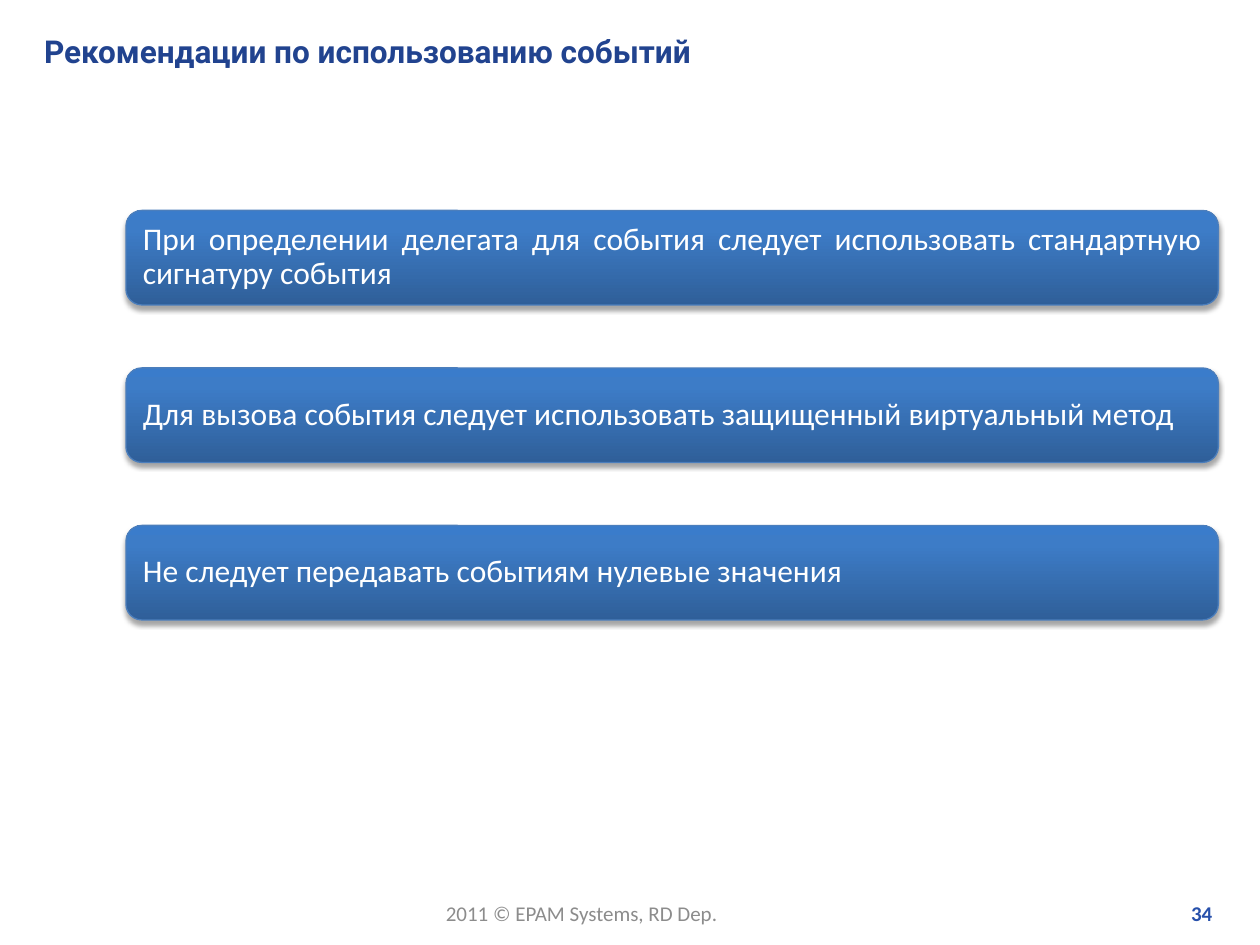
from dataclasses import dataclass

from lxml import etree
from pptx import Presentation
from pptx.dml.color import RGBColor
from pptx.enum import shapes, text
from pptx.oxml import ns
from pptx.util import Inches, Pt


@dataclass(frozen=True)
class Theme:
    """Colours, fonts and type sizes of the slide."""
    heading_font: str = "Roboto"
    body_font: str = "Calibri"
    heading: str = "21438F"
    body: str = "FFFFFF"
    copyright: str = "8C8C8C"
    page: str = "2750AB"
    outline: str = "4B7EBC"
    shadow: str = "000000"
    gradient: tuple = ((0, "2F5F99"), (80, "3D7CC7"), (100, "3A7CCB"))
    main_size: int = 18
    footer_size: int = 12


THEME = Theme()
RECOMMENDATIONS = (
    "При определении делегата для события следует использовать стандартную сигнатуру события",
    "Для вызова события следует использовать защищенный виртуальный метод",
    "Не следует передавать событиям нулевые значения",
)


def add_element(parent, tag, **attributes):
    """Append a DrawingML child and return it."""
    return etree.SubElement(parent, ns.qn(tag), attributes)


def format_runs(paragraph, font, size, color, bold=False):
    """Apply one type style to every run of a paragraph."""
    for run in paragraph.runs:
        run.font.name = font
        run.font.size = Pt(size)
        run.font.bold = bold
        run.font.color.rgb = RGBColor.from_string(color)


def style_panel(panel):
    """Give a panel its outline, vertical gradient and soft shadow."""
    panel.line.color.rgb = RGBColor.from_string(THEME.outline)
    panel.line.width = Pt(0.75)
    properties = panel._element.spPr
    gradient = etree.Element(ns.qn("a:gradFill"), rotWithShape="1")
    stops = add_element(gradient, "a:gsLst")
    for position, color in THEME.gradient:
        stop = add_element(stops, "a:gs", pos=str(position * 1000))
        add_element(stop, "a:srgbClr", val=color)
    add_element(gradient, "a:lin", ang="16200000", scaled="0")
    properties.find(ns.qn("a:prstGeom")).addnext(gradient)
    effects = add_element(properties, "a:effectLst")
    shadow = add_element(effects, "a:outerShdw", blurRad=str(Pt(3.1)),
                         dist=str(Pt(1.8)), dir="5400000", rotWithShape="0")
    shade = add_element(shadow, "a:srgbClr", val=THEME.shadow)
    add_element(shade, "a:alpha", val="35000")


def add_title(slide, left, top, width, height):
    """Place the heading in the title placeholder."""
    title = slide.shapes.title
    title.left, title.top, title.width, title.height = left, top, width, height
    frame = title.text_frame
    frame.text = "Рекомендации по использованию событий"
    frame.vertical_anchor = text.MSO_ANCHOR.MIDDLE
    heading = frame.paragraphs[0]
    heading.alignment = text.PP_ALIGN.LEFT
    format_runs(heading, THEME.heading_font, THEME.main_size, THEME.heading, True)


def add_recommendations(slide, left, top, width, height):
    """Stack the recommendation panels evenly within the box."""
    panel_height = Inches(0.75)
    pitch = (height - panel_height) // (len(RECOMMENDATIONS) - 1)
    for index, recommendation in enumerate(RECOMMENDATIONS):
        panel = slide.shapes.add_shape(shapes.MSO_SHAPE.ROUNDED_RECTANGLE,
                                       left, top + index * pitch, width, panel_height)
        style_panel(panel)
        frame = panel.text_frame
        frame.text = recommendation
        frame.word_wrap = True
        frame.vertical_anchor = text.MSO_ANCHOR.MIDDLE
        advice = frame.paragraphs[0]
        advice.alignment = text.PP_ALIGN.JUSTIFY
        advice.line_spacing = 0.9
        format_runs(advice, THEME.body_font, THEME.main_size, THEME.body)


def add_footer(slide, left, top, width, height):
    """Place the copyright line at the left and the page number at the right."""
    copyright_width, page_width = Inches(2.39), Inches(2.12)
    entries = (
        ("2011 © EPAM Systems, RD Dep.", left, copyright_width,
         text.PP_ALIGN.LEFT, THEME.copyright, False),
        ("34", left + width - page_width, page_width,
         text.PP_ALIGN.RIGHT, THEME.page, True),
    )
    for words, start, extent, alignment, color, is_page in entries:
        frame = slide.shapes.add_textbox(start, top, extent, height).text_frame
        frame.text = words
        frame.word_wrap = is_page
        frame.auto_size = text.MSO_AUTO_SIZE.SHAPE_TO_FIT_TEXT
        entry = frame.paragraphs[0]
        entry.alignment = alignment
        format_runs(entry, THEME.body_font, THEME.footer_size, color, is_page)


def main():
    """Build and save the slide."""
    deck = Presentation()
    deck.slide_width, deck.slide_height = Inches(10), Inches(7.5)
    slide = deck.slides.add_slide(deck.slide_layouts.get_by_name("Title Only"))
    add_footer(slide, Inches(3.44), Inches(7.1), Inches(6.28), Inches(0.3))
    add_title(slide, Inches(0.25), Inches(0.2), Inches(9.54), Inches(0.4))
    add_recommendations(slide, Inches(1), Inches(1.67), Inches(8.67), Inches(3.25))
    deck.save("out.pptx")


if __name__ == "__main__":
    main()
